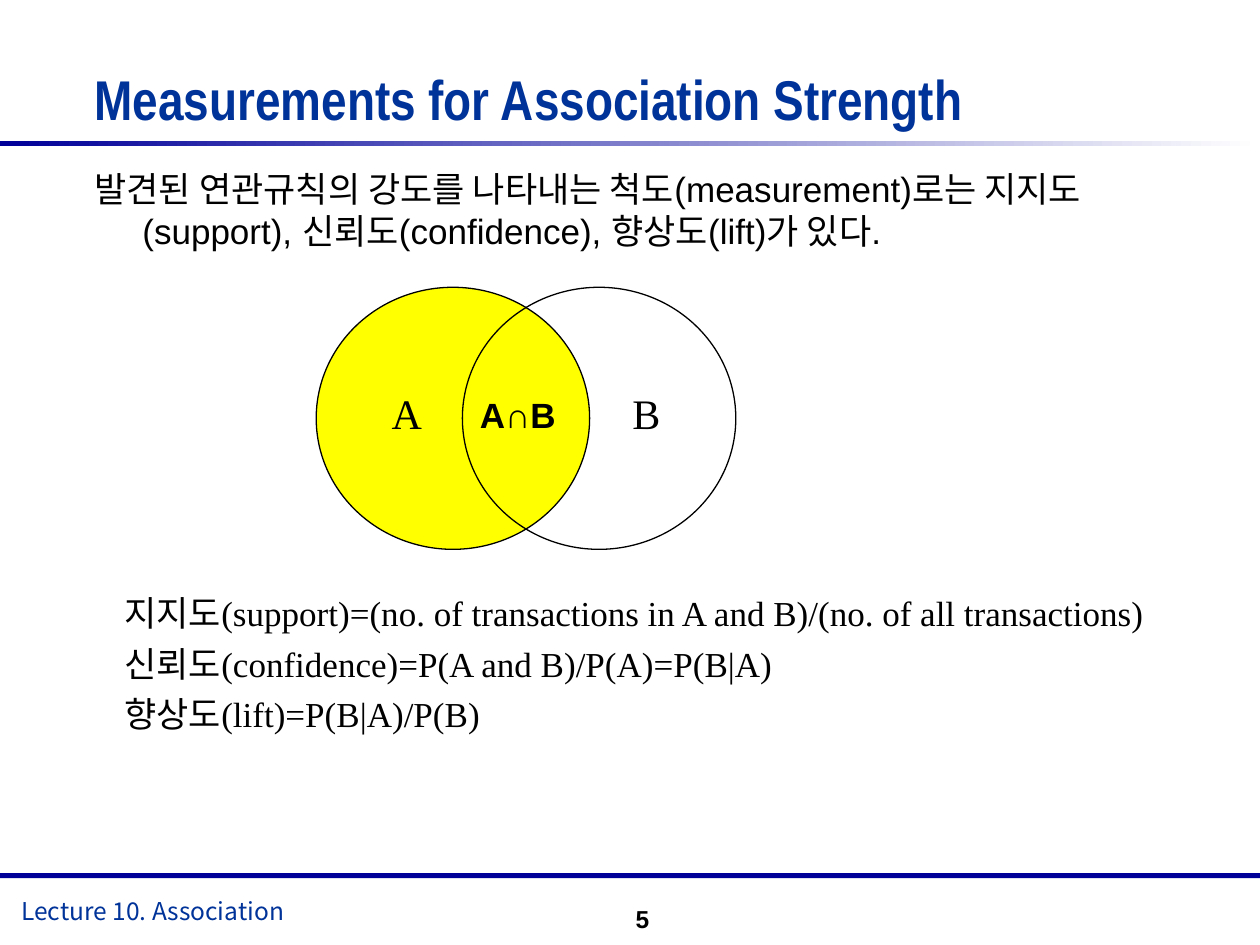
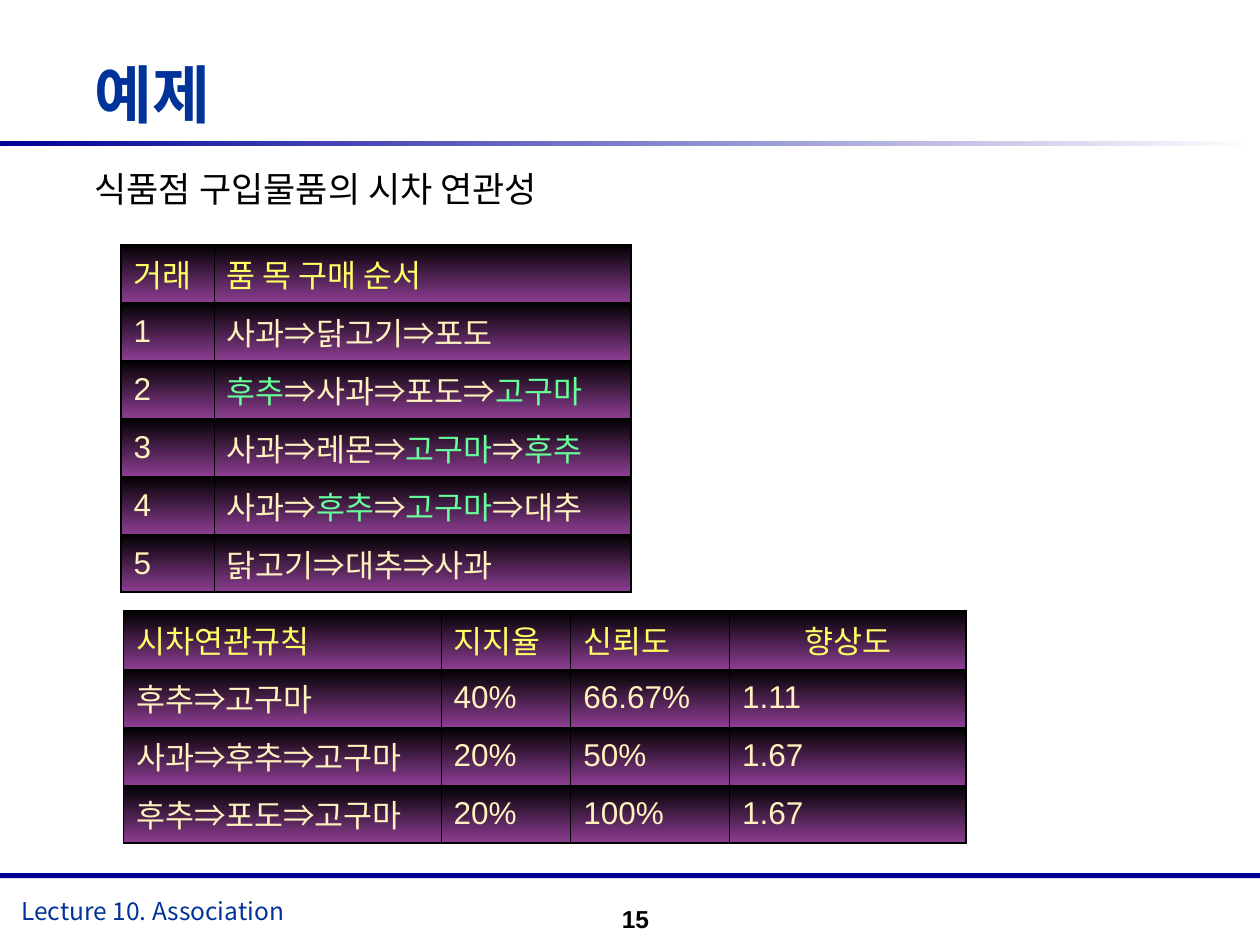
from dataclasses import dataclass

from lxml import etree
from pptx import Presentation
from pptx.dml.color import RGBColor
from pptx.enum import shapes, text
from pptx.oxml import ns
from pptx.util import Inches, Pt


@dataclass(frozen=True)
class Theme:
    navy: str = "000099"
    blue: str = "003399"
    black: str = "000000"
    white: str = "FFFFFF"
    yellow: str = "FFFF00"
    purple: str = "8C3D91"
    header: str = "FFFF66"
    cream: str = "FFF2BE"
    green: str = "66FF99"
    sans: str = "Arial"
    narrow: str = "Arial Narrow"
    serif: str = "Times New Roman"
    korean: str = "Noto Sans CJK KR"
    small: int = 14
    cell: int = 18
    body: int = 20
    label: int = 24


theme = Theme()
ARROW = "⇒"


def write(frame, content, size=theme.body, font=theme.sans, color=theme.black, bold=False,
          align=text.PP_ALIGN.LEFT, anchor=text.MSO_ANCHOR.TOP, margins=(0.1, 0.05),
          spacing=None, hanging=0, marked=()):
    """Fill a text frame, one paragraph per line; words in marked turn green."""
    frame.word_wrap = True
    frame.vertical_anchor = anchor
    frame.margin_left = frame.margin_right = Inches(margins[0])
    frame.margin_top = frame.margin_bottom = Inches(margins[1])
    for index, line in enumerate(content.split("\n")):
        paragraph = frame.add_paragraph() if index else frame.paragraphs[0]
        paragraph.alignment = align
        paragraph.line_spacing = spacing
        if hanging:
            properties = paragraph._p.get_or_add_pPr()
            properties.set("marL", str(Inches(hanging)))
            properties.set("indent", str(-Inches(hanging)))
        pieces = line.replace(ARROW, f"\n{ARROW}\n").split("\n") if marked else [line]
        for piece in pieces:
            run = paragraph.add_run()
            run.text = piece
            run.font.size = Pt(size)
            run.font.name = font
            run.font.bold = bold
            run.font.color.rgb = RGBColor.from_string(theme.green if piece in marked else color)
            east_asian = etree.SubElement(run._r.get_or_add_rPr(), ns.qn("a:ea"))
            east_asian.set("typeface", theme.korean)


def shade(fill, start, end, angle):
    """Apply a two-stop linear gradient."""
    fill.gradient()
    fill.gradient_angle = angle
    for stop, color, position in zip(fill.gradient_stops, (start, end), (0, 1)):
        stop.color.rgb = RGBColor.from_string(color)
        stop.position = position


deck = Presentation()
deck.slide_width, deck.slide_height = Inches(10), Inches(7.5)

# Shared frame: title, bands, footer, page number and opening statement
pages = [
    ("Measurements for Association Strength", 32, "5",
     "발견된 연관규칙의 강도를 나타내는 척도(measurement)로는 지지도(support), "
     "신뢰도(confidence), 향상도(lift)가 있다."),
    ("예제", 36, "15", "식품점 구입물품의 시차 연관성"),
]
for heading, heading_size, number, statement in pages:
    slide = deck.slides.add_slide(deck.slide_layouts[5])
    title = slide.shapes.title
    title.left, title.top, title.width, title.height = map(Inches, (0.75, 0.5, 9.25, 0.75))
    write(title.text_frame, heading, size=heading_size, font=theme.narrow, color=theme.blue,
          bold=True, margins=(0, 0), spacing=Pt(39))

    for top, end_color in ((1.12, theme.white), (6.93, theme.navy)):
        band = slide.shapes.add_shape(shapes.MSO_SHAPE.RECTANGLE, 0, Inches(top),
                                      Inches(10), Inches(0.04))
        band.shadow.inherit = False
        band.line.fill.background()
        if end_color == theme.navy:
            band.fill.solid()
            band.fill.fore_color.rgb = RGBColor.from_string(theme.navy)
        else:
            shade(band.fill, theme.navy, end_color, 0)

    footer = slide.shapes.add_textbox(*map(Inches, (0.07, 7.06, 3.33, 0.34)))
    write(footer.text_frame, "Lecture 10. Association", size=theme.small, font=theme.korean,
          color=theme.blue)
    page_number = slide.shapes.add_textbox(*map(Inches, (4.67, 7.08, 0.58, 0.42)))
    write(page_number.text_frame, number, size=theme.small, bold=True,
          align=text.PP_ALIGN.RIGHT, anchor=text.MSO_ANCHOR.MIDDLE)
    opening = slide.shapes.add_textbox(*map(Inches, (0.75, 1.33, 8.58, 0.8)))
    write(opening.text_frame, statement, margins=(0, 0), hanging=0.38)

measures, example = deck.slides

# Venn diagram of A and B
for left, color in ((2.51, theme.yellow), (3.67, None)):
    circle = measures.shapes.add_shape(shapes.MSO_SHAPE.OVAL,
                                       *map(Inches, (left, 2.28, 2.17, 2.08)))
    circle.shadow.inherit = False
    circle.line.color.rgb = RGBColor.from_string(theme.black)
    circle.line.width = Pt(0.75)
    if color:
        circle.fill.solid()
        circle.fill.fore_color.rgb = RGBColor.from_string(color)
    else:
        circle.fill.background()

for letter, left in (("A", 3.01), ("B", 4.92)):
    set_label = measures.shapes.add_textbox(*map(Inches, (left, 3.03, 0.44, 0.5)))
    write(set_label.text_frame, letter, size=theme.label, font=theme.serif)
intersection = measures.shapes.add_textbox(*map(Inches, (3.73, 3.12, 0.76, 0.33)))
write(intersection.text_frame, "Α∩Β", bold=True, align=text.PP_ALIGN.CENTER, margins=(0, 0))

# Definitions of the three measures
definitions = measures.shapes.add_textbox(*map(Inches, (0.89, 4.58, 8.6, 1.3)))
write(definitions.text_frame,
      "지지도(support)=(no. of transactions in A and B)/(no. of all transactions)\n"
      "신뢰도(confidence)=P(A and B)/P(A)=P(B|A)\n"
      "향상도(lift)=P(B|A)/P(B)",
      font=theme.serif, spacing=1.2)

# Purchase sequences and the rules found in them
transactions = [
    ("거래", "품 목 구매 순서"),
    ("1", "사과⇒닭고기⇒포도"),
    ("2", "후추⇒사과⇒포도⇒고구마"),
    ("3", "사과⇒레몬⇒고구마⇒후추"),
    ("4", "사과⇒후추⇒고구마⇒대추"),
    ("5", "닭고기⇒대추⇒사과"),
]
rules = [
    ("시차연관규칙", "지지율", "신뢰도", "향상도"),
    ("후추⇒고구마", "40%", "66.67%", "1.11"),
    ("사과⇒후추⇒고구마", "20%", "50%", "1.67"),
    ("후추⇒포도⇒고구마", "20%", "100%", "1.67"),
]
row_height = 0.46
tables = [
    (transactions, 0.96, 1.94, (0.74, 3.31), ("후추", "고구마")),
    (rules, 0.98, 4.85, (2.52, 1.03, 1.26, 1.88), ()),
]
for records, left, top, widths, marked in tables:
    last_row, last_column = len(records) - 1, len(widths) - 1
    grid = example.shapes.add_table(
        len(records), len(widths),
        *map(Inches, (left, top, sum(widths), row_height * len(records)))).table
    for column, width in zip(grid.columns, widths):
        column.width = Inches(width)
    for r, record in enumerate(records):
        grid.rows[r].height = Inches(row_height)
        for c, value in enumerate(record):
            cell = grid.cell(r, c)
            centred = value == "향상도"
            write(cell.text_frame, value, size=theme.cell, marked=marked,
                  color=theme.cream if r else theme.header,
                  align=text.PP_ALIGN.CENTER if centred else text.PP_ALIGN.LEFT)
            cell.vertical_anchor = text.MSO_ANCHOR.MIDDLE
            cell.margin_left = cell.margin_right = Inches(0.1)
            cell.margin_top = cell.margin_bottom = Inches(0.05)
            shade(cell.fill, theme.black, theme.purple, 270)

            # Outer edges are heavier than inner ones
            outer = {"L": c == 0, "R": c == last_column, "T": r == 0, "B": r == last_row}
            for position, (side, heavy) in enumerate(outer.items()):
                edge = etree.Element(ns.qn(f"a:ln{side}"), w=str(Pt(1.08 if heavy else 0.45)))
                paint = etree.SubElement(edge, ns.qn("a:solidFill"))
                etree.SubElement(paint, ns.qn("a:srgbClr"), val=theme.black)
                cell._tc.get_or_add_tcPr().insert(position, edge)

deck.save("out.pptx")
